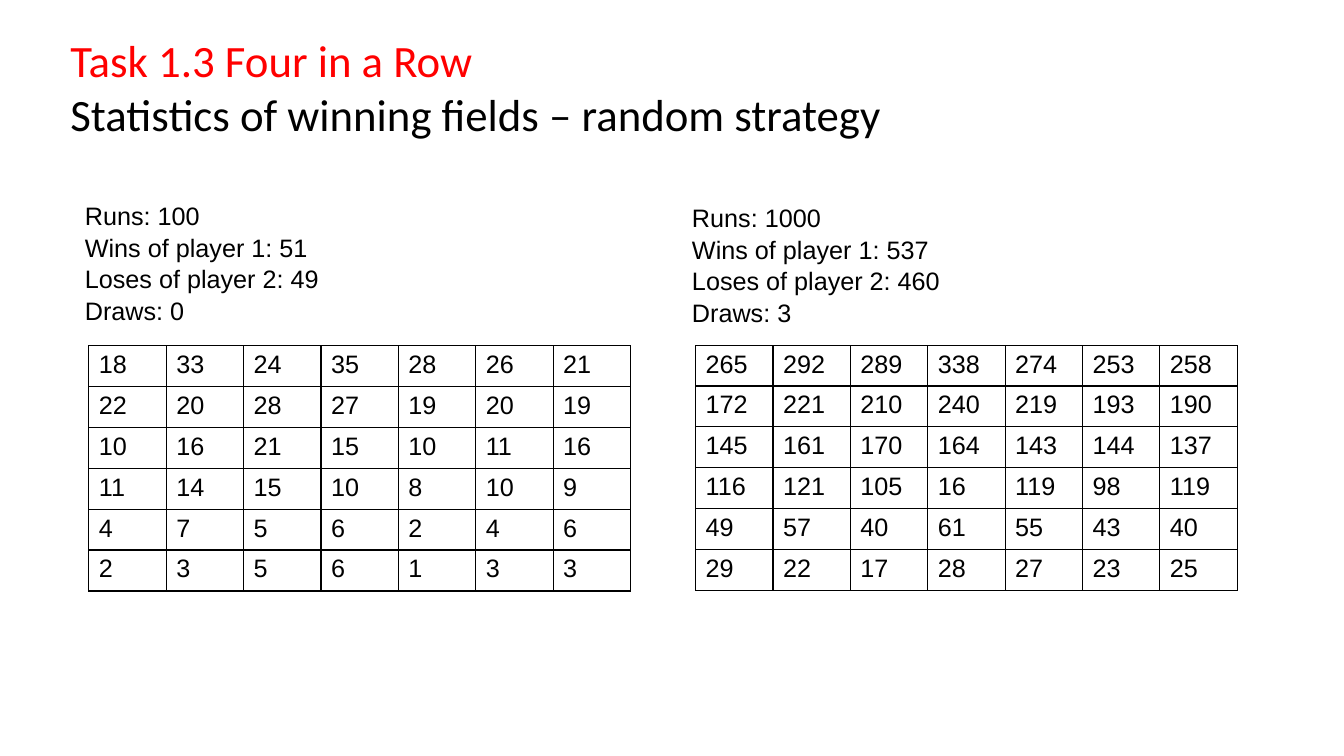
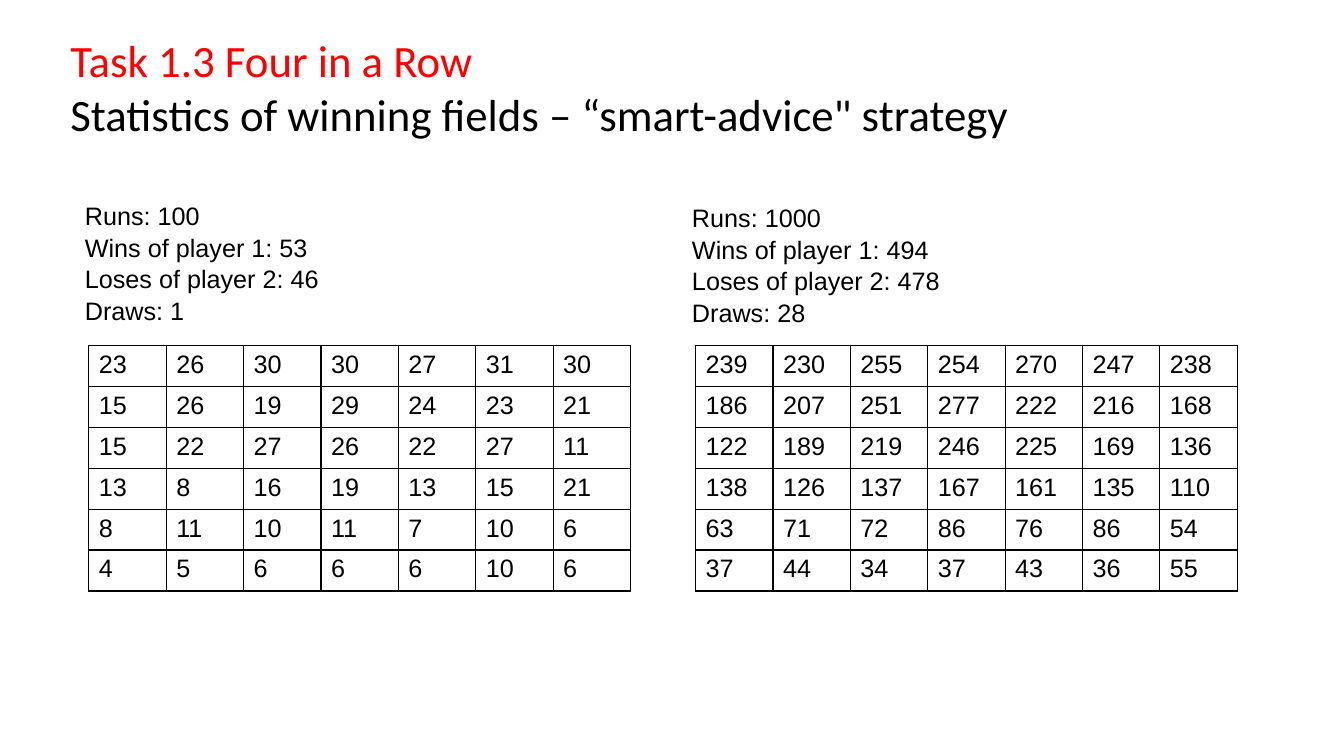
from lxml.etree import SubElement
from pptx import Presentation
from pptx.dml.color import RGBColor
from pptx.enum.text import MSO_ANCHOR, MSO_AUTO_SIZE, PP_ALIGN
from pptx.oxml.ns import qn
from pptx.util import Cm, Pt

COLORS = {"accent": "FF0000", "text": "000000", "border": "000000"}
TITLE_FONT, BODY_FONT = "Calibri", "Arial"
TASK = "Task 1.3 Four in a Row"
SUMMARY_LABELS = ("Runs", "Wins of player 1", "Loses of player 2", "Draws")
ROW_HEIGHT = 1.03
COLUMN_WIDTH = 1.95
LEFT_SIDE = {"summary": (1.57, 4.88), "table": (2.24, 8.71)}
RIGHT_SIDE = {"summary": (16.87, 4.93), "table": (17.53, 8.71)}


class Deck:
    """Holds the shared style and the slide being built."""

    def __init__(self):
        """Start an empty widescreen presentation."""
        self.presentation = Presentation()
        self.presentation.slide_width = Cm(33.87)
        self.presentation.slide_height = Cm(19.05)
        self.slide = None

    def style(self, paragraph, font_name, size, color="text"):
        """Set the font and left alignment of a paragraph."""
        paragraph.alignment = PP_ALIGN.LEFT
        paragraph.font.name = font_name
        paragraph.font.size = Pt(size)
        paragraph.font.color.rgb = RGBColor.from_string(COLORS[color])

    def add_slide(self, subtitle):
        """Add a slide with the task name above its subtitle."""
        layout = self.presentation.slide_layouts.get_by_name("Title Only")
        self.slide = self.presentation.slides.add_slide(layout)
        title = self.slide.shapes.title
        title.left, title.top = Cm(1.52), Cm(0.84)
        title.width, title.height = Cm(31.42), Cm(2.69)
        frame = title.text_frame
        frame.text = f"{TASK}\n{subtitle}"
        frame.auto_size = MSO_AUTO_SIZE.NONE
        frame.vertical_anchor = MSO_ANCHOR.MIDDLE
        for paragraph, color in zip(frame.paragraphs, ("accent", "text")):
            self.style(paragraph, TITLE_FONT, 32, color)

    def add_summary(self, position, values):
        """Add one labelled line for each result of the runs."""
        left, top = position
        box = self.slide.shapes.add_textbox(Cm(left), Cm(top), Cm(7.1), Cm(3.33))
        frame = box.text_frame
        frame.word_wrap = True
        frame.margin_left = Cm(0.57)
        frame.text = "\n".join(
            f"{label}: {value}" for label, value in zip(SUMMARY_LABELS, values)
        )
        for paragraph in frame.paragraphs:
            self.style(paragraph, BODY_FONT, 18)
            paragraph.line_spacing = 1.05

    def add_field_table(self, position, rows, first_row_height):
        """Add the board with the winning count of each field."""
        left, top = position
        row_count, column_count = len(rows), len(rows[0])
        table = self.slide.shapes.add_table(
            row_count, column_count, Cm(left), Cm(top),
            Cm(COLUMN_WIDTH * column_count), Cm(ROW_HEIGHT * row_count),
        ).table
        table.first_row = table.horz_banding = False
        table.rows[0].height = Cm(first_row_height)
        for row, counts in zip(table.rows, rows):
            for cell, count in zip(row.cells, counts):
                cell.text = str(count)
                self.style(cell.text_frame.paragraphs[0], BODY_FONT, 18)
                self.add_borders(cell)
                cell.fill.background()

    def add_borders(self, cell):
        """Draw a thin line on every side of a cell."""
        properties = cell._tc.get_or_add_tcPr()
        for side in ("lnL", "lnR", "lnT", "lnB"):
            line = SubElement(properties, qn(f"a:{side}"), w=str(Pt(1)))
            fill = SubElement(line, qn("a:solidFill"))
            SubElement(fill, qn("a:srgbClr"), val=COLORS["border"])

    def add_results(self, side, values, rows, first_row_height=ROW_HEIGHT):
        """Add a board and the summary above it."""
        self.add_field_table(side["table"], rows, first_row_height)
        self.add_summary(side["summary"], values)


def main():
    """Build both statistics slides and save them."""
    deck = Deck()

    deck.add_slide("Statistics of winning fields – random strategy")
    deck.add_results(LEFT_SIDE, (100, 51, 49, 0), [
        (18, 33, 24, 35, 28, 26, 21),
        (22, 20, 28, 27, 19, 20, 19),
        (10, 16, 21, 15, 10, 11, 16),
        (11, 14, 15, 10, 8, 10, 9),
        (4, 7, 5, 6, 2, 4, 6),
        (2, 3, 5, 6, 1, 3, 3),
    ])
    deck.add_results(RIGHT_SIDE, (1000, 537, 460, 3), [
        (265, 292, 289, 338, 274, 253, 258),
        (172, 221, 210, 240, 219, 193, 190),
        (145, 161, 170, 164, 143, 144, 137),
        (116, 121, 105, 16, 119, 98, 119),
        (49, 57, 40, 61, 55, 43, 40),
        (29, 22, 17, 28, 27, 23, 25),
    ], first_row_height=0.97)

    deck.add_slide("Statistics of winning fields – “smart-advice\" strategy")
    deck.add_results(LEFT_SIDE, (100, 53, 46, 1), [
        (23, 26, 30, 30, 27, 31, 30),
        (15, 26, 19, 29, 24, 23, 21),
        (15, 22, 27, 26, 22, 27, 11),
        (13, 8, 16, 19, 13, 15, 21),
        (8, 11, 10, 11, 7, 10, 6),
        (4, 5, 6, 6, 6, 10, 6),
    ])
    deck.add_results(RIGHT_SIDE, (1000, 494, 478, 28), [
        (239, 230, 255, 254, 270, 247, 238),
        (186, 207, 251, 277, 222, 216, 168),
        (122, 189, 219, 246, 225, 169, 136),
        (138, 126, 137, 167, 161, 135, 110),
        (63, 71, 72, 86, 76, 86, 54),
        (37, 44, 34, 37, 43, 36, 55),
    ])

    deck.presentation.save("out.pptx")


main()
